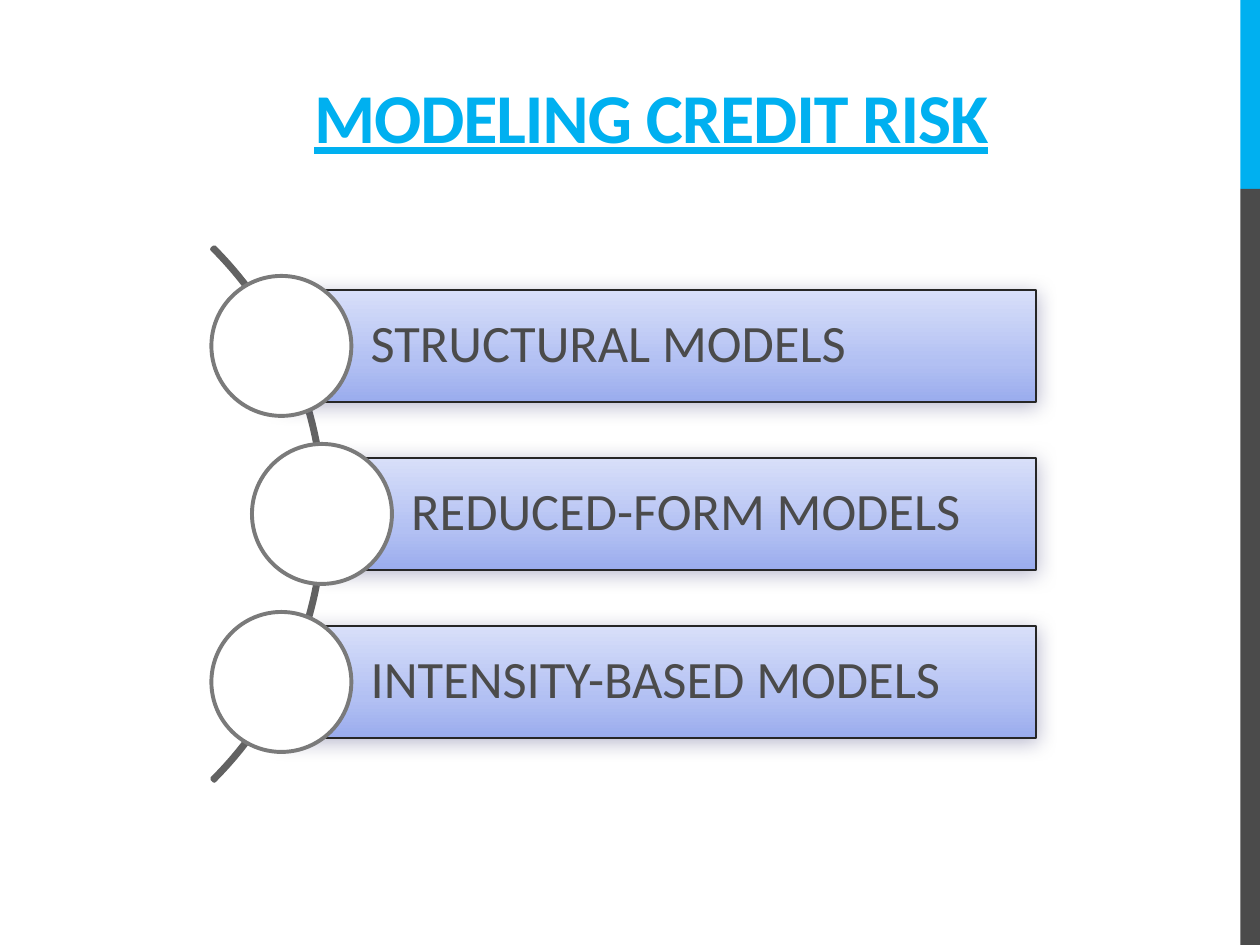
from dataclasses import dataclass

from lxml.etree import SubElement
from pptx import Presentation
from pptx.dml.color import RGBColor
from pptx.enum.shapes import MSO_SHAPE
from pptx.enum.text import MSO_ANCHOR, PP_ALIGN
from pptx.oxml import parse_xml
from pptx.oxml.ns import nsdecls, qn
from pptx.util import Pt


@dataclass(frozen=True)
class Theme:
    font: str = "Calibri"
    accent: str = "00B0F0"
    dark: str = "4B4B4B"
    white: str = "FFFFFF"
    arc: str = "626262"
    ring: str = "7A7A7A"
    border: str = "262626"
    shadow: str = "000050"
    gradient: tuple = ((0, "9AACED"), (35, "B2C0F3"), (100, "D8DFF9"))
    title_size: float = 40
    bar_size: float = 30


T = Theme()
MODELS = ["STRUCTURAL MODELS", "REDUCED-FORM MODELS", "INTENSITY-BASED MODELS"]


def add_shape(s, kind, box, fill=None, line=None, width=0):
    sp = s.shapes.add_shape(kind, *map(Pt, box))
    sp.shadow.inherit = False
    if fill:
        sp.fill.solid()
        sp.fill.fore_color.rgb = RGBColor.from_string(fill)
    if line:
        sp.line.color.rgb = RGBColor.from_string(line)
        sp.line.width = Pt(width)
    else:
        sp.line.fill.background()
    return sp


def write(sp, text, color, align, frame, font):
    tf = sp.text_frame
    for name, value in {"word_wrap": True, **frame}.items():
        setattr(tf, name, value)
    p = tf.paragraphs[0]
    p.alignment = align
    p.line_spacing = 0.9
    r = p.add_run()
    r.text = text
    r.font.color.rgb = RGBColor.from_string(color)
    for name, value in {"name": T.font, **font}.items():
        setattr(r.font, name, value)
    return r


def style_bar(sp):
    """Three-stop vertical gradient and a soft shadow."""
    sp.fill.gradient()
    sp.fill.gradient_angle = 90
    stops = sp.element.spPr.find(qn("a:gradFill")).find(qn("a:gsLst"))
    for stop in list(stops):
        stops.remove(stop)
    for pos, color in T.gradient:
        gs = SubElement(stops, qn("a:gs"), pos=str(pos * 1000))
        SubElement(gs, qn("a:srgbClr"), val=color)
    effects = sp.element.spPr.find(qn("a:effectLst"))
    effects.append(parse_xml(
        f'<a:outerShdw {nsdecls("a")} blurRad="{Pt(12)}" dist="{Pt(1.5)}" '
        f'dir="5400000" algn="ctr" rotWithShape="0"><a:srgbClr val="{T.shadow}">'
        '<a:alpha val="28000"/></a:srgbClr></a:outerShdw>'))


def side_stripe(s, x, y, w, h):
    top = h / 5
    add_shape(s, MSO_SHAPE.RECTANGLE, (x, y, w, top), T.accent)
    add_shape(s, MSO_SHAPE.RECTANGLE, (x, y + top, w, h - top), T.dark)


def title(s, x, y, w, h):
    sp = s.shapes.add_textbox(*map(Pt, (x, y, w, h)))
    r = write(sp, "MODELING CREDIT RISK", T.accent, PP_ALIGN.CENTER,
              {"vertical_anchor": MSO_ANCHOR.BOTTOM},
              {"size": Pt(T.title_size), "bold": True, "underline": True})
    r.font._element.set("spc", "-60")


def model_list(s, x, y, w, h):
    bar_h, circle, arc = 64, 80, 431.3
    pitch = h / len(MODELS)
    middle = y + h / 2

    # Arc behind the list
    sp = add_shape(s, MSO_SHAPE.BLOCK_ARC,
                   (x - 366.5, middle - arc / 2, arc, arc), T.arc, T.arc, 2.25)
    for i, value in enumerate((189, 27, 0.004)):
        sp.adjustments[i] = value
    sp.line._ln.set("cap", "rnd")

    # Bars, each with a circle centred on its left edge
    for i, text in enumerate(MODELS):
        center = y + (i + 0.5) * pitch
        inset = circle / 2 + (23.2 if i == 1 else 0)
        bar = add_shape(s, MSO_SHAPE.RECTANGLE,
                        (x + inset, center - bar_h / 2, w - inset, bar_h),
                        line=T.border, width=1)
        style_bar(bar)
        write(bar, text, T.dark, PP_ALIGN.LEFT,
              {"vertical_anchor": MSO_ANCHOR.MIDDLE, "margin_left": Pt(51),
               "margin_right": Pt(6), "margin_top": Pt(6), "margin_bottom": Pt(6)},
              {"size": Pt(T.bar_size)})
        add_shape(s, MSO_SHAPE.OVAL,
                  (x + inset - circle / 2, center - circle / 2, circle, circle),
                  T.white, T.ring, 2.25)


def main():
    prs = Presentation()
    prs.slide_width, prs.slide_height = Pt(720), Pt(540)
    s = prs.slides.add_slide(prs.slide_layouts[6])
    side_stripe(s, 708.75, 0, 11.25, 540)
    title(s, 65.5, 14.4, 613.4, 80)
    model_list(s, 120.8, 149.7, 471.2, 288)
    prs.save("out.pptx")


if __name__ == "__main__":
    main()
